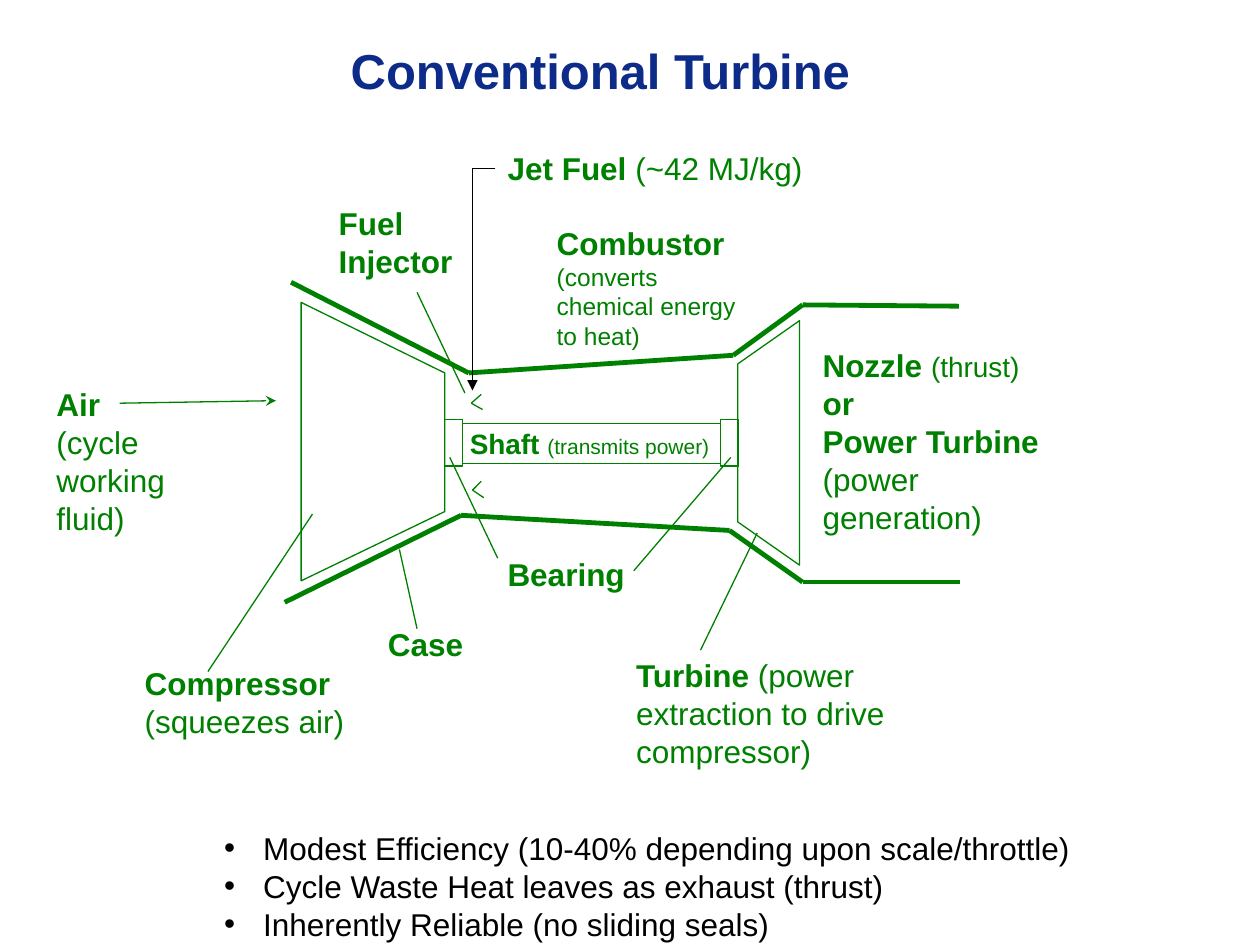
from lxml import etree
from pptx import Presentation
from pptx import util as u
from pptx.dml.color import RGBColor
from pptx.enum import shapes, text
from pptx.oxml import ns

PX = 9144
FONT = "Arial"
NAVY = RGBColor(0x0D, 0x2B, 0x88)
GREEN = RGBColor(0x00, 0x80, 0x00)
BLACK = RGBColor(0, 0, 0)
WHITE = RGBColor(255, 255, 255)
THIN, THICK = 0.75, 2.75


def px(*values):
    return [u.Emu(v * PX) for v in values]


def shift(box, x, y):
    return box[0] + x, box[1] + y


def format_run(r, size, color, bold=False):
    r.font.name = FONT
    r.font.size = u.Pt(size)
    r.font.bold = bold
    r.font.color.rgb = color


def outline(sp, fill=None):
    sp.shadow.inherit = False
    sp.line.color.rgb = GREEN
    sp.line.width = u.Pt(THIN)
    if fill is None:
        sp.fill.background()
    else:
        sp.fill.solid()
        sp.fill.fore_color.rgb = fill


def add_line(parent, start, end, width=THIN, color=GREEN, arrow=None, elbow=False):
    kind = shapes.MSO_CONNECTOR.ELBOW if elbow else shapes.MSO_CONNECTOR.STRAIGHT
    line = parent.add_connector(kind, *px(*start, *end))
    line.line.color.rgb = color
    line.line.width = u.Pt(width)
    sp_pr = line._element.spPr
    if elbow:
        sp_pr.find(ns.qn("a:prstGeom")).set("prst", "bentConnector2")
    if arrow:
        etree.SubElement(line.line._get_or_add_ln(), ns.qn("a:tailEnd"), type=arrow)
    etree.SubElement(sp_pr, ns.qn("a:effectLst"))


def add_path(parent, box, points, width=THIN):
    for start, end in zip(points, points[1:]):
        add_line(parent, shift(box, *start), shift(box, *end), width)


def add_text(s, box):
    tf = s.shapes.add_textbox(*px(*box)).text_frame
    tf.word_wrap = True
    tf.auto_size = text.MSO_AUTO_SIZE.SHAPE_TO_FIT_TEXT
    return tf


def add_title(s, box):
    sp = s.shapes.title
    sp.left, sp.top, sp.width, sp.height = px(*box)
    tf = sp.text_frame
    tf.text = "Conventional Turbine"
    tf.auto_size = text.MSO_AUTO_SIZE.NONE
    tf.vertical_anchor = text.MSO_ANCHOR.MIDDLE
    tf.margin_left, tf.margin_top, tf.margin_right, tf.margin_bottom = px(5, 5, 10, 5)
    p = tf.paragraphs[0]
    p.alignment = text.PP_ALIGN.CENTER
    p.line_spacing = 0.8
    format_run(p.runs[0], 28, NAVY, True)


def add_engine(s, box):
    def add_part(kind, x, y, w, h, fill=None):
        sp = s.shapes.add_shape(kind, *px(*shift(box, x, y), w, h))
        outline(sp, fill)
        return sp

    rectangle = shapes.MSO_SHAPE.RECTANGLE
    add_part(rectangle, 181, 112, 205, 32, WHITE)
    for x in (167, 386):
        add_part(rectangle, x, 109, 14, 37)

    corners = [shift(box, *c) for c in ((53, 237), (167, 182), (167, 72), (53, 16))]
    builder = s.shapes.build_freeform(*corners[0], scale=PX)
    builder.add_line_segments(corners[1:], close=True)
    outline(builder.convert_to_shape(), WHITE)

    turbine = add_part(shapes.MSO_SHAPE.TRAPEZOID, 327, 103, 194, 49)
    turbine.adjustments[0] = 0.7
    turbine.rotation = 270

    injectors = (
        [(196, 89), (188, 96), (197, 101)],
        [(196, 158), (189, 165), (198, 171)],
    )
    for points in injectors:
        add_path(s.shapes, box, points)

    case = (
        [(40, 254), (180, 185), (393, 197), (451, 238), (576, 238)],
        [(45, 0), (186, 72), (396, 58), (451, 18), (575, 19)],
    )
    for points in case:
        add_path(s.shapes.add_group_shape().shapes, box, points, THICK)


def add_labels(s, box):
    labels = [
        (70, 409, 184, 71, [[("Compressor", 18, True)], [("(squeezes air)", 18, False)]]),
        (460, 403, 265, 101, [[("Turbine", 18, True),
                               (" (power extraction to drive compressor)", 18, False)]]),
        (328, 221, 232, 37, [[("Shaft ", 16, True), ("(transmits power)", 12, False)]]),
        (358, 323, 134, 40, [[("Bearing", 18, True)]]),
        (608, 157, 195, 162, [[("Nozzle ", 18, True), ("(thrust) ", 16, False), ("or", 18, True)],
                              [("Power Turbine", 18, True), (" (power generation)", 18, False)]]),
        (397, 60, 173, 111, [[("Combustor", 18, True)],
                             [("(converts chemical energy to heat)", 14, False)]]),
        (358, 0, 269, 40, [[("Jet Fuel ", 18, True), ("(~42 MJ/kg)", 18, False)]]),
        (0, 188, 107, 131, [[("Air", 18, True)], [("(cycle working fluid)", 18, False)]]),
        (224, 44, 134, 71, [[("Fuel Injector", 18, True)]]),
        (263, 378, 184, 40, [[("Case", 18, True)]]),
    ]
    for x, y, w, h, paragraphs in labels:
        tf = add_text(s, (*shift(box, x, y), w, h))
        for i, runs in enumerate(paragraphs):
            p = tf.add_paragraph() if i else tf.paragraphs[0]
            for words, size, bold in runs:
                r = p.add_run()
                r.text = words
                format_run(r, size, GREEN, bold)

    leaders = [
        [(521, 403), (566, 310)],
        [(360, 330), (322, 250)],
        [(213, 295), (130, 420)],
        [(468, 340), (545, 250)],
        [(334, 199), (296, 119)],
        [(282, 323), (296, 386)],
    ]
    for points in leaders:
        add_path(s.shapes, box, points)
    add_line(s.shapes, shift(box, 60, 207), shift(box, 184, 205), arrow="stealth")
    add_line(s.shapes, shift(box, 358, 21), shift(box, 340, 197), color=BLACK,
             arrow="triangle", elbow=True)


def add_bullets(s, box):
    tf = add_text(s, box)
    tf.text = "\n".join([
        "Modest Efficiency (10-40% depending upon scale/throttle)",
        "Cycle Waste Heat leaves as exhaust (thrust)",
        "Inherently Reliable (no sliding seals)",
    ])
    indent = 31 * PX
    for p in tf.paragraphs:
        p_pr = p._p.get_or_add_pPr()
        p_pr.set("marL", str(indent))
        p_pr.set("indent", str(-indent))
        etree.SubElement(p_pr, ns.qn("a:buFont"), typeface=FONT)
        etree.SubElement(p_pr, ns.qn("a:buChar"), char="•")
        format_run(p.runs[0], 18, BLACK)


def main():
    prs = Presentation()
    prs.slide_width, prs.slide_height = px(1000, 750)
    s = prs.slides.add_slide(prs.slide_layouts[5])
    add_title(s, (143, 5, 672, 110))
    add_engine(s, (186, 224, 576, 254))
    add_labels(s, (35, 113, 803, 504))
    add_bullets(s, (168, 653, 719, 101))
    prs.save("out.pptx")


if __name__ == "__main__":
    main()
